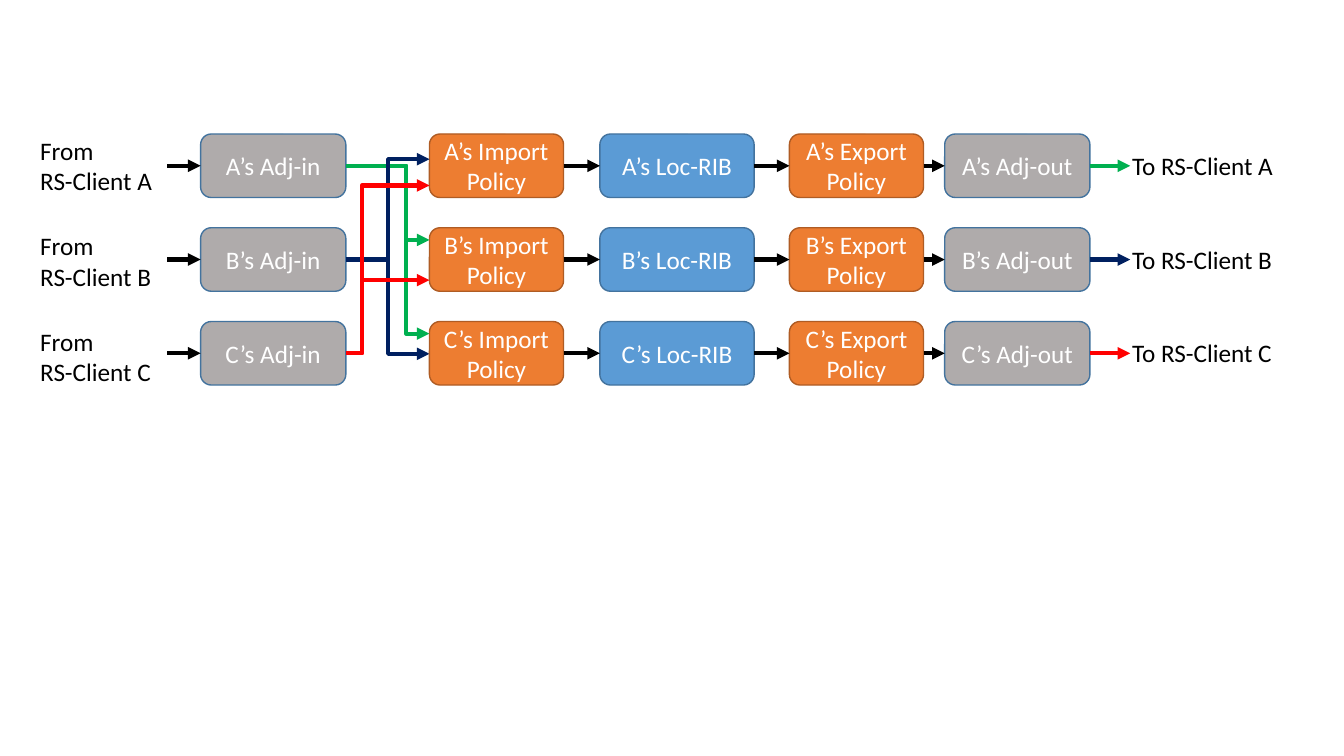
import pptx
import pptx.util
import pptx.dml.color
import pptx.enum.shapes
import pptx.enum.text
import pptx.oxml.ns
from lxml import etree
from pptx.util import Inches

COLORS = {
    "black": "000000", "white": "FFFFFF",
    "gray": "AFABAB", "orange": "ED7D31", "blue": "5B9BD5",
    "blue line": "43739E", "orange line": "AF5C24",
    "A": "00B050", "B": "002060", "C": "FF0000",
}
CLIENTS = "ABC"
ROW_TOP, ROW_STEP, BOX_HEIGHT = 1.33, 0.93, 0.63
IMPORT_LEFT = 4.26
# label, left, width, fill, line
STAGES = [
    ("Adj-in", 1.99, 1.44, "gray", "blue line"),
    ("Import\nPolicy", IMPORT_LEFT, 1.33, "orange", "orange line"),
    ("Loc-RIB", 5.95, 1.53, "blue", "blue line"),
    ("Export\nPolicy", 7.83, 1.33, "orange", "orange line"),
    ("Adj-out", 9.37, 1.44, "gray", "blue line"),
]
# source client: x of the vertical run, y of each arrowhead
ROUTES = {
    "A": (4.03, (2.38, 3.31)),
    "B": (3.85, (1.58, 3.51)),
    "C": (3.59, (1.84, 2.78)),
}


def rgb(name):
    return pptx.dml.color.RGBColor.from_string(COLORS[name])


def write(tf, text, color, align):
    tf.text = text
    for p in tf.paragraphs:
        p.alignment = align
        p.font.name = "Calibri"
        p.font.size = pptx.util.Pt(18)
        p.font.color.rgb = rgb(color)


def add_box(s, text, left, top, width, fill, line):
    sp = s.shapes.add_shape(pptx.enum.shapes.MSO_SHAPE.ROUNDED_RECTANGLE,
                            Inches(left), Inches(top), Inches(width), Inches(BOX_HEIGHT))
    sp.shadow.inherit = False
    sp.fill.solid()
    sp.fill.fore_color.rgb = rgb(fill)
    sp.line.color.rgb = rgb(line)
    sp.line.width = pptx.util.Pt(1)
    sp.text_frame.vertical_anchor = pptx.enum.text.MSO_ANCHOR.MIDDLE
    write(sp.text_frame, text, "white", pptx.enum.text.PP_ALIGN.CENTER)
    return sp


def add_label(s, text, left, top, width, height):
    tf = s.shapes.add_textbox(Inches(left), Inches(top), Inches(width), Inches(height)).text_frame
    tf.word_wrap = False
    write(tf, text, "black", pptx.enum.text.PP_ALIGN.LEFT)


def add_arrow(s, x1, y1, x2, y2, color, bend_x=None):
    """Draw an arrow, straight or with a vertical run at bend_x."""
    kinds = pptx.enum.shapes.MSO_CONNECTOR
    kind = kinds.STRAIGHT if bend_x is None else kinds.ELBOW
    c = s.shapes.add_connector(kind, Inches(x1), Inches(y1), Inches(x2), Inches(y2))
    c.line.color.rgb = rgb(color)
    c.line.width = pptx.util.Pt(3)
    qn = pptx.oxml.ns.qn
    spPr = c._element.spPr
    etree.SubElement(spPr.find(qn("a:ln")), qn("a:tailEnd"), type="triangle")
    etree.SubElement(spPr, qn("a:effectLst"))
    if bend_x is not None:
        share = round((bend_x - x1) / (x2 - x1) * 100000)
        guides = spPr.find(qn("a:prstGeom")).get_or_add_avLst()
        etree.SubElement(guides, qn("a:gd"), name="adj1", fmla=f"val {share}")
    return c


def add_row(s, i, client):
    top = ROW_TOP + i * ROW_STEP
    mid = top + BOX_HEIGHT / 2
    boxes = [add_box(s, f"{client}’s {label}", left, top, width, fill, line)
             for label, left, width, fill, line in STAGES]
    add_label(s, f"From\nRS-Client {client}", 0.3, 1.29 + i * 0.95, 1.32, 0.71)
    add_label(s, f"To RS-Client {client}", 11.13, top + 0.11, 1.61, 0.4)

    add_arrow(s, 1.66, mid, 1.99, mid, "black").end_connect(boxes[0], 1)
    for before, after in zip(boxes[1:], boxes[2:]):
        c = add_arrow(s, 0, mid, 1, mid, "black")
        c.begin_connect(before, 3)
        c.end_connect(after, 1)
    add_arrow(s, 10.81, mid, 11.21, mid, client).begin_connect(boxes[-1], 3)

    adj_in_right = STAGES[0][1] + STAGES[0][2]
    bend_x, targets = ROUTES[client]
    for y in targets:
        add_arrow(s, adj_in_right, mid, IMPORT_LEFT, y, client, bend_x)


def main():
    prs = pptx.Presentation()
    prs.slide_width, prs.slide_height = Inches(13.33), Inches(7.5)
    s = prs.slides.add_slide(prs.slide_layouts[6])
    for i, client in enumerate(CLIENTS):
        add_row(s, i, client)
    prs.save("out.pptx")


if __name__ == "__main__":
    main()
